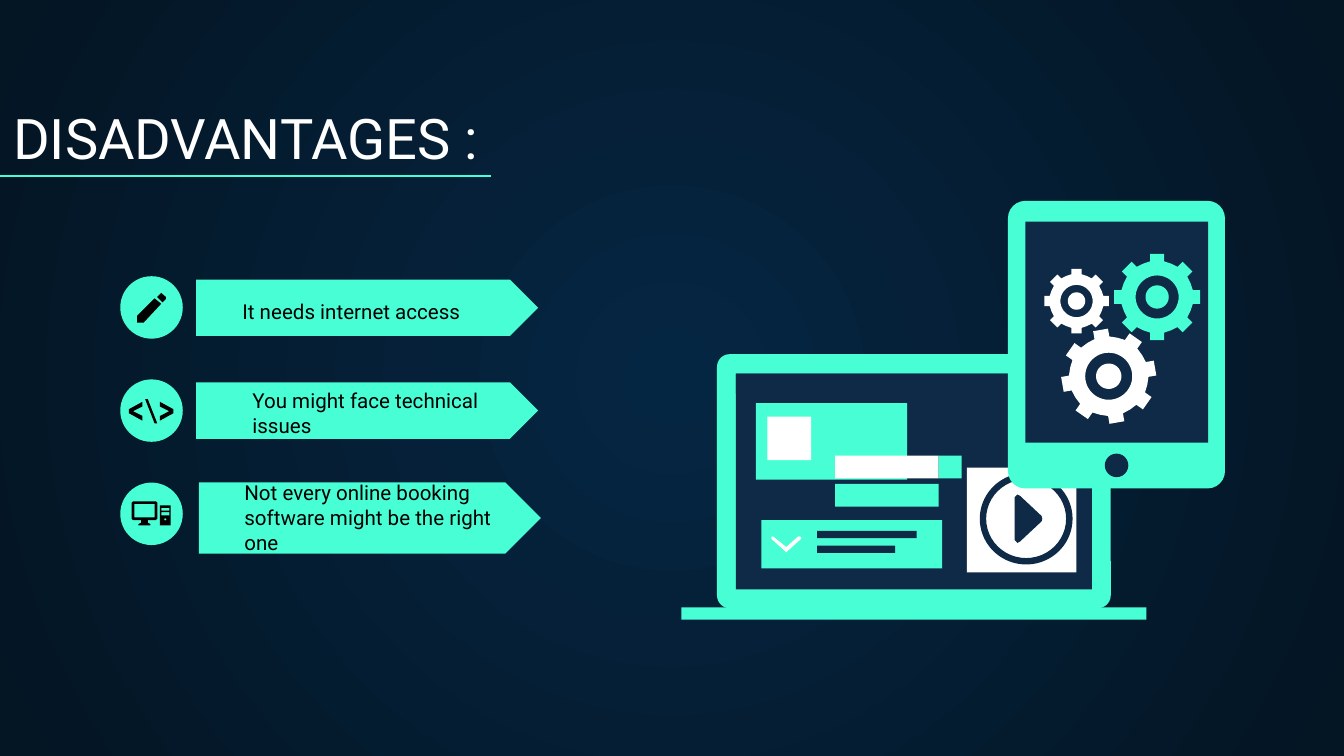
import math

import lxml.etree
import pptx
import pptx.dml.color
import pptx.enum.shapes
import pptx.enum.text
import pptx.oxml.ns
import pptx.util

RGB = pptx.dml.color.RGBColor
MINT = RGB(0x48, 0xFF, 0xD5)
NAVY = RGB(0x0E, 0x2A, 0x47)
WHITE = RGB(0xFF, 0xFF, 0xFF)
BLACK = RGB(0, 0, 0)
GLOW = RGB(0x05, 0x26, 0x43)
NIGHT = RGB(0x04, 0x15, 0x23)
COLS, ROWS = 100, 56.25
KIND = pptx.enum.shapes.MSO_SHAPE
RECT, DISC = KIND.RECTANGLE, KIND.OVAL
qn = pptx.oxml.ns.qn


def round_path(x, y, size):
    turns = [math.tau * i / 48 for i in range(48)]
    return [(x + size * math.cos(t), y + size * math.sin(t)) for t in turns]


def box_path(x, y, w, h):
    return [(x, y), (x + w, y), (x + w, y + h), (x, y + h)]


class Deck:
    face = "Roboto"
    inset = pptx.util.Inches(0.1)

    def __init__(self):
        self.file = pptx.Presentation()
        self.file.slide_width = pptx.util.Inches(10)
        self.file.slide_height = pptx.util.Inches(10 * 9 / 16)
        self.slide = self.file.slides.add_slide(self.file.slide_layouts[6])
        self.shapes = self.slide.shapes

    def spot(self, col, row):
        return (round(col * self.file.slide_width / COLS),
                round(row * self.file.slide_height / ROWS))

    def back(self, inner, outer):
        fill = self.slide.background.fill
        fill.gradient()
        for place, (stop, tone) in enumerate(zip(fill.gradient_stops, (inner, outer))):
            stop.color.rgb = tone
            stop.position = place
        grad = next(self.slide.element.iter(qn("a:gradFill")))
        grad.remove(grad.find(qn("a:lin")))
        glow = lxml.etree.SubElement(grad, qn("a:path"), path="circle")
        sides = dict.fromkeys("ltrb", "50000")
        lxml.etree.SubElement(glow, qn("a:fillToRect"), sides)

    def paint(self, shape, tone):
        shape.shadow.inherit = False
        shape.fill.solid()
        shape.fill.fore_color.rgb = tone
        shape.line.fill.background()
        return shape

    def block(self, kind, x, y, w, h, tone, bend=None):
        shape = self.shapes.add_shape(kind, *self.spot(x, y), *self.spot(w, h))
        if bend is not None:
            shape.adjustments[0] = bend
        return self.paint(shape, tone)

    def draw(self, tone, *paths):
        pen = None
        for points in paths:
            first, *rest = [self.spot(*point) for point in points]
            if pen is None:
                pen = self.shapes.build_freeform(*first, scale=1.0)
            else:
                pen.move_to(*first)
            pen.add_line_segments(rest, close=True)
        return self.paint(pen.convert_to_shape(), tone)

    def gear(self, x, y, size, tone, tilt=0):
        rim = []
        for tooth in range(8):
            turn = math.radians(45 * tooth + tilt)
            cos, sin = math.cos(turn), math.sin(turn)
            for far, side in ((0.83, -0.16), (1, -0.16), (1, 0.16), (0.83, 0.16)):
                rim.append((x + size * (far * cos - side * sin),
                            y + size * (far * sin + side * cos)))
            half = turn + math.pi / 8
            rim.append((x + 0.84 * size * math.cos(half),
                        y + 0.84 * size * math.sin(half)))
        self.draw(tone, rim, round_path(x, y, size * 0.5), round_path(x, y, size * 0.27))

    def text(self, words, x, y, w, h, size, tone):
        box = self.shapes.add_textbox(*self.spot(x, y), *self.spot(w, h))
        frame = box.text_frame
        form = {"word_wrap": True,
                "vertical_anchor": pptx.enum.text.MSO_ANCHOR.BOTTOM,
                "auto_size": pptx.enum.text.MSO_AUTO_SIZE.NONE}
        for side in ("left", "top", "right", "bottom"):
            form["margin_" + side] = self.inset
        for name, value in form.items():
            setattr(frame, name, value)
        run = frame.paragraphs[0].add_run()
        run.text = words
        for name, value in {"name": self.face, "size": pptx.util.Pt(size)}.items():
            setattr(run.font, name, value)
        run.font.color.rgb = tone

    def rule(self, x, y, end, tone):
        line = self.shapes.add_connector(
            pptx.enum.shapes.MSO_CONNECTOR.STRAIGHT, *self.spot(x, y), *self.spot(end, y))
        line.line.color.rgb = tone
        line.line.width = pptx.util.Pt(0.75)
        lxml.etree.SubElement(line.element.spPr, qn("a:effectLst"))


def add_list(deck):
    rows = [
        ("It needs internet access", 14.6, 20.8, 4.2, 17.05, 22.95),
        ("You might face technical issues", 14.6, 28.45, 4.2, 17.8, 31.45),
        ("Not every online booking software might be the right one",
         14.8, 35.9, 5.3, 17.2, 40.15),
    ]
    for i, (words, x, y, high, left, top) in enumerate(rows):
        deck.block(KIND.PENTAGON, x, y, 25.45, high, MINT, 0.5)
        deck.text(words, left, top, 22.7, 2.1, 11, BLACK)
        deck.block(DISC, 8.95, 20.55 + 7.68 * i, 4.65, 4.65, MINT)


def add_icons(deck):
    deck.draw(BLACK,
              [(12, 21.8), (11.7, 22.1), (12.1, 22.5), (12.35, 22.25), (12.35, 22.1)],
              [(11.5, 22.2), (10.2, 23.5), (10.2, 24), (10.7, 24), (12, 22.6)])
    angle = [(1, 1.4), (0, 0.85), (0, 0.55), (1, 0), (1, 0.35), (0.3, 0.7), (1, 1.05)]
    for start, way in ((9.6, 1), (12.9, -1)):
        deck.draw(BLACK, [(start + way * x, 29.9 + y) for x, y in angle])
    deck.draw(BLACK, [(11.5, 31.5), (10.8, 29.7), (11, 29.7), (11.7, 31.5)])
    deck.draw(BLACK, box_path(10, 37.5, 1.5, 1),
              [(9.9, 37.3), (9.8, 37.4), (9.8, 38.6), (9.9, 38.7), (10.5, 38.7),
               (10.5, 38.9), (10.3, 39), (10.3, 39.1), (11.2, 39.1), (11.2, 39),
               (11, 38.9), (11, 38.7), (11.6, 38.7), (11.7, 38.6), (11.7, 37.4),
               (11.6, 37.3)])
    deck.draw(BLACK, box_path(11.9, 37.6, 0.8, 1.5), box_path(12, 37.8, 0.6, 0.2),
              box_path(12, 38.1, 0.6, 0.25), round_path(12.3, 38.65, 0.08))


def add_laptop(deck):
    deck.block(KIND.ROUNDED_RECTANGLE, 53.35, 26.35, 29.3, 18.9, MINT, 0.05)
    panes = [
        (54.75, 27.8, 26.5, 16.05, NAVY),
        (50.7, 45.2, 34.6, 0.9, MINT),
        (54.75, 27.8, 26.5, 1.5, NAVY),
        (56.25, 30, 11.25, 5.7, MINT),
        (57.1, 31, 3.25, 3.25, WHITE),
        (60.2, 38.7, 9.9, 3.6, MINT),
        (60.8, 39.5, 7.4, 0.55, NAVY),
        (60.8, 40.6, 5.8, 0.55, NAVY),
        (56.65, 38.7, 3.55, 3.6, MINT),
        (62.15, 36, 7.7, 1.7, MINT),
        (62.15, 33.9, 7.7, 1.7, WHITE),
        (69.85, 33.9, 1.7, 1.7, MINT),
        (71.95, 34.8, 8.15, 7.8, WHITE),
    ]
    for *place, tone in panes:
        deck.block(RECT, *place, tone)
    deck.draw(WHITE, [(57.5, 39.9), (58.5, 40.7), (59.4, 39.9), (59.6, 39.95),
                      (59.6, 40.1), (58.6, 41), (58.5, 41.1), (58.4, 41),
                      (57.4, 40.1), (57.4, 39.95)])
    deck.block(KIND.DONUT, 72.9, 35.2, 6.9, 6.8, NAVY, 0.07)
    deck.draw(NAVY, [(75.7, 36.8), (75.5, 37), (75.5, 40.2), (75.7, 40.4), (75.9, 40.3),
                     (77.5, 38.8), (77.55, 38.6), (77.5, 38.4), (75.9, 36.9)])


def add_tablet(deck):
    deck.block(KIND.ROUNDED_RECTANGLE, 75, 14.95, 16.15, 21.4, MINT, 0.08)
    deck.block(RECT, 76.3, 16.5, 13.6, 16.45, NAVY)
    deck.block(DISC, 82.2, 33.75, 1.75, 1.75, NAVY)
    deck.gear(86.1, 22.1, 3.2, MINT)
    deck.gear(80.1, 22.4, 2.4, WHITE)
    deck.gear(82.5, 28, 3.5, WHITE, -10)


def main():
    deck = Deck()
    deck.back(GLOW, NIGHT)
    deck.text("DISADVANTAGES :", 0, 7.1, 96.6, 6.6, 30, WHITE)
    deck.rule(0, 13.1, 36.5, MINT)
    add_list(deck)
    add_icons(deck)
    add_laptop(deck)
    add_tablet(deck)
    deck.file.save("out.pptx")


if __name__ == "__main__":
    main()
